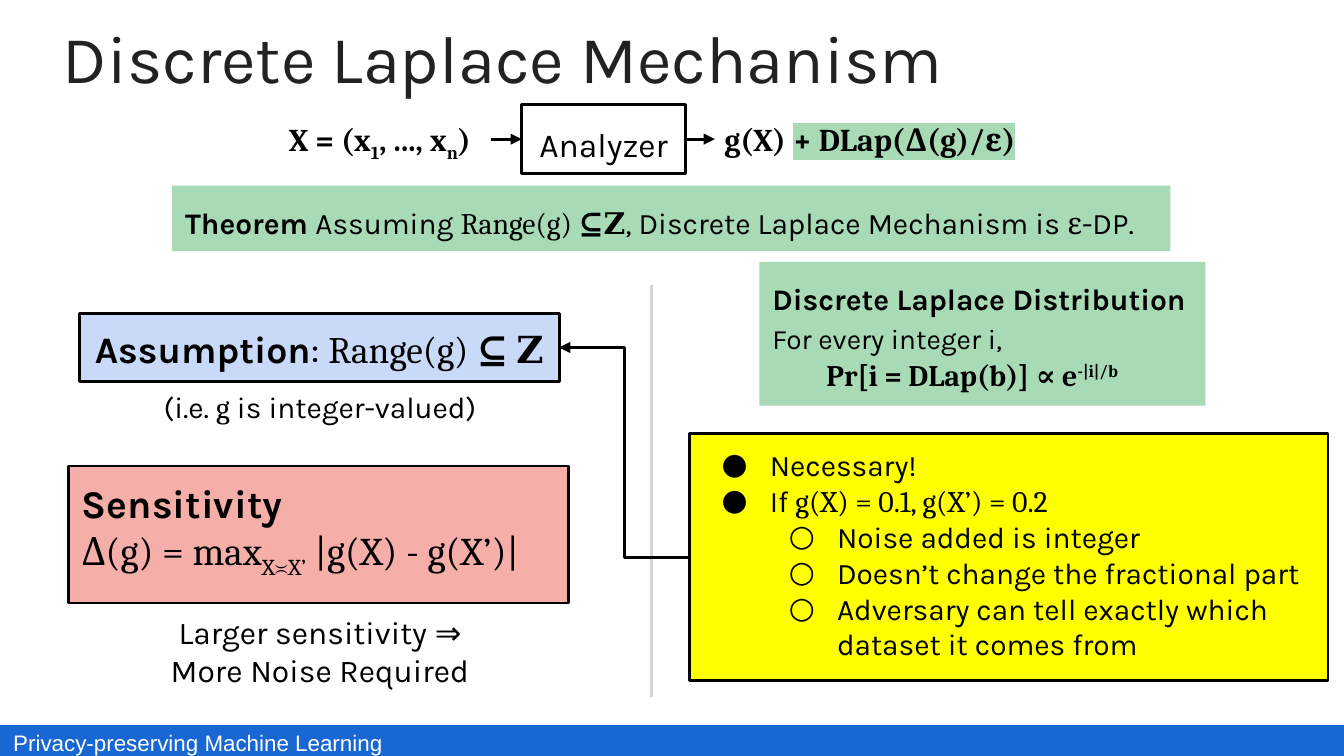
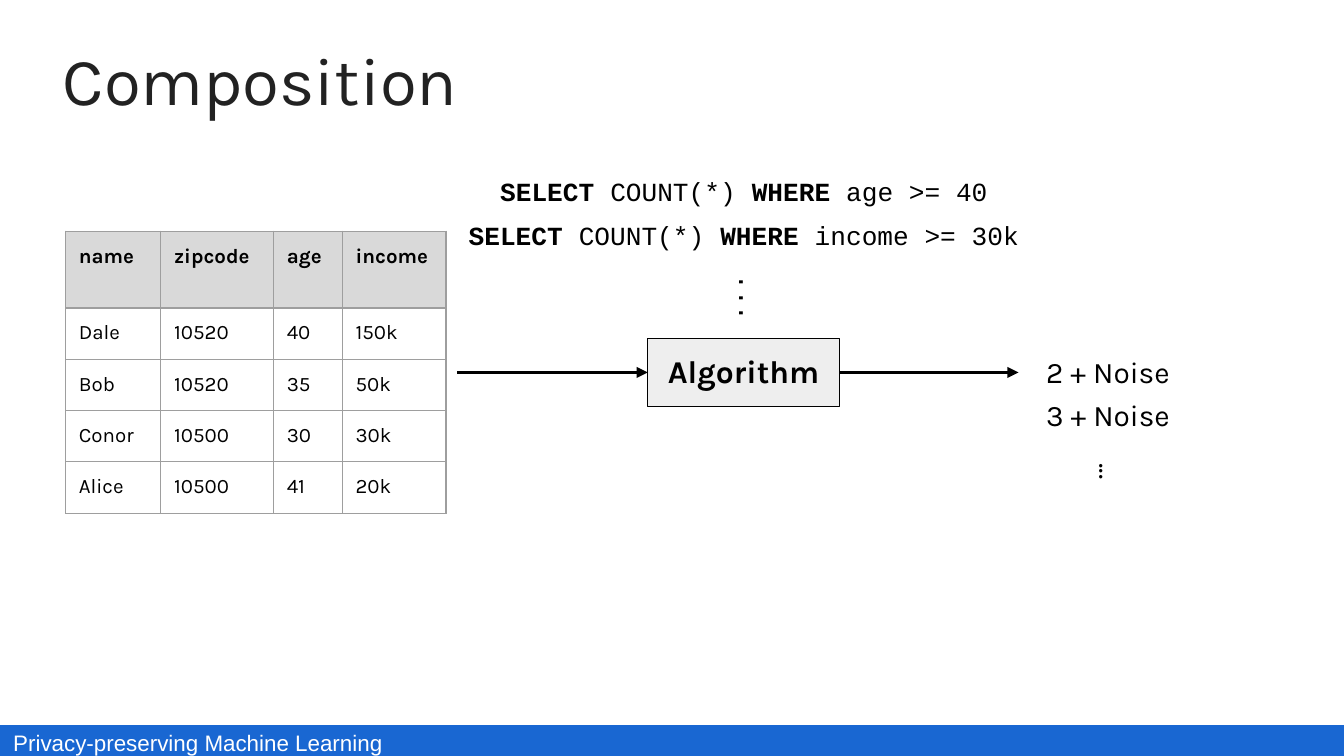
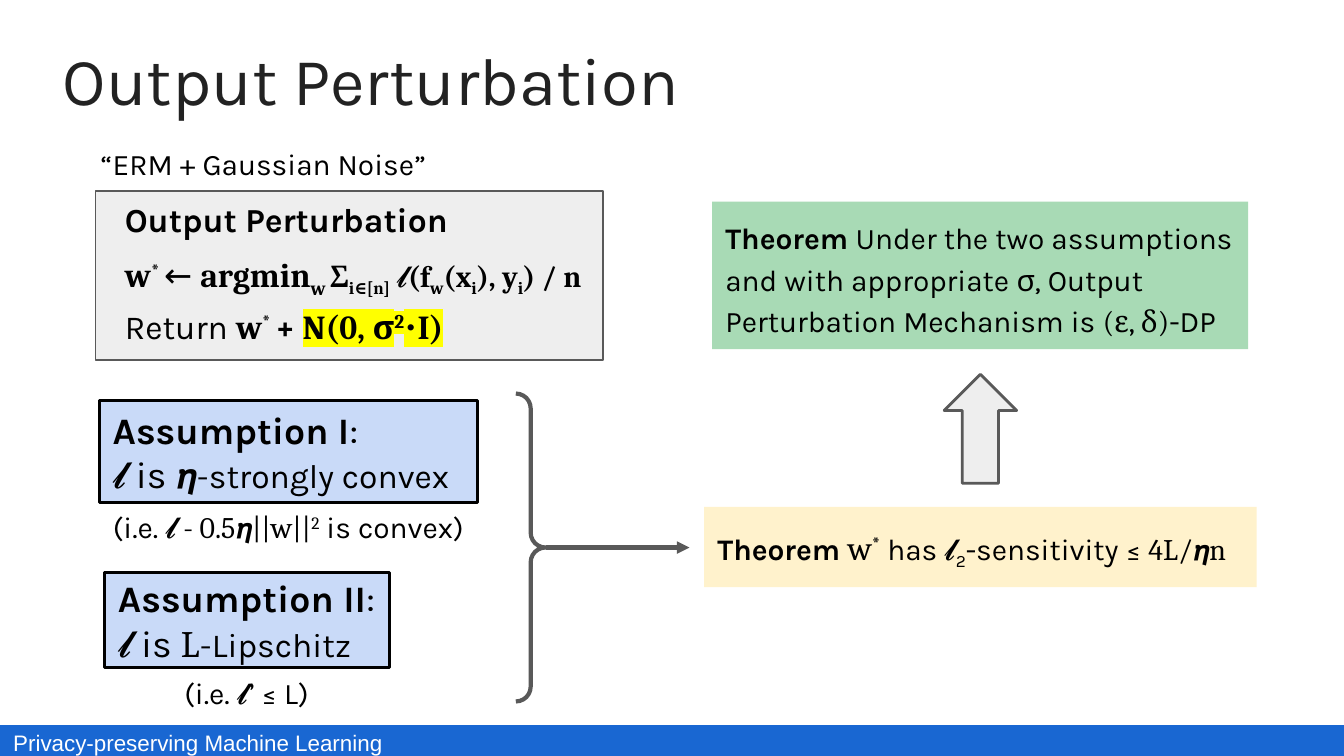
from dataclasses import dataclass
from functools import partial
from typing import NamedTuple, Optional, Union

from lxml import etree
from pptx import Presentation
from pptx import util as u
from pptx.dml import color
from pptx.enum import shapes, text
from pptx.oxml import ns


@dataclass(frozen=True)
class Theme:
    sans: str = "Karla"
    serif: str = "Cambria"
    mono: str = "Courier New"
    plain: str = "Arial"
    black: str = "000000"
    white: str = "FFFFFF"
    ink: str = "222222"
    band: str = "1967D2"
    green: str = "A8DAB5"
    blue: str = "C9DAF8"
    red: str = "F6AEA9"
    yellow: str = "FFFF00"
    cream: str = "FFF2CC"
    pale: str = "EEEEEE"
    header: str = "D9D9D9"
    rule: str = "D5D5D5"
    grid: str = "9E9E9E"
    gray: str = "595959"
    title: int = 36
    head: int = 21
    large: int = 20
    lead: int = 18
    body: int = 17
    base: int = 16
    small: int = 15
    code: int = 14
    foot: int = 12
    cell: int = 11
    thin: float = 0.75
    line: float = 1.5
    thick: float = 2.25
    inset: float = 0.25
    loose: float = 1.15


T = Theme()
Kind = shapes.MSO_SHAPE
Wire = shapes.MSO_CONNECTOR
LEFT, MID = text.PP_ALIGN.LEFT, text.PP_ALIGN.CENTER
TOP, HALF = text.MSO_ANCHOR.TOP, text.MSO_ANCHOR.MIDDLE
SUB, SUPER = -25, 30


class Run(NamedTuple):
    words: str
    face: str = T.sans
    bold: bool = False
    shift: int = 0
    size: int = 0
    tint: str = T.black
    mark: str = ""


class Para(NamedTuple):
    runs: list[Run]
    size: int = T.base
    align: text.PP_ALIGN = LEFT
    space: float = 1.0
    bullet: str = ""
    level: int = 0


class Box(NamedTuple):
    left: float
    top: float
    wide: float
    high: float
    paras: list[Para] = []
    fill: str = ""
    edge: str = ""
    weight: float = T.line
    anchor: text.MSO_ANCHOR = TOP
    turn: int = 0
    kind: Kind = Kind.RECTANGLE
    bend: tuple = ()
    name: str = ""


class Spot(NamedTuple):
    x: float
    y: float


class Joint(NamedTuple):
    name: str
    side: int


class Link(NamedTuple):
    start: Union[Spot, Joint]
    end: Union[Spot, Joint]
    tint: str = T.black
    weight: float = T.line
    arrow: bool = True
    kind: Wire = Wire.STRAIGHT


class Grid(NamedTuple):
    left: float
    top: float
    cols: list[float]
    rows: list[float]
    cells: list[list[str]]


bold = partial(Run, bold=True)
math = partial(Run, face=T.serif)
strong = partial(math, bold=True)


def rgb(tint: str) -> color.RGBColor:
    return color.RGBColor.from_string(tint)


def apply(target, **values) -> None:
    for key, value in values.items():
        setattr(target, key, value)


def paint(fill, tint: str) -> None:
    if tint:
        fill.solid()
        fill.fore_color.rgb = rgb(tint)
    else:
        fill.background()


def add(parent, tag: str, **values: str):
    return etree.SubElement(parent, ns.qn(tag), values)


def add_tint(parent, tag: str, tint: str):
    node = add(parent, tag)
    add(node, "a:srgbClr", val=tint)
    return node


def write_run(para, run: Run, size: int) -> None:
    part = para.add_run()
    part.text = run.words
    apply(part.font, name=run.face, bold=run.bold, size=u.Pt(run.size or size))
    part.font.color.rgb = rgb(run.tint)
    props = part.font._element
    if run.shift:
        props.set("baseline", str(run.shift * 1000))
    for tag in ("a:ea", "a:cs"):
        add(props, tag, typeface=run.face)
    if run.mark:
        props.find(ns.qn("a:latin")).addprevious(add_tint(props, "a:highlight", run.mark))


def write_para(para, item: Para) -> None:
    apply(para, alignment=item.align, line_spacing=item.space, level=item.level)
    if item.bullet:
        props = para._p.get_or_add_pPr()
        props.set("marL", str(u.Cm(1.27 * (item.level + 1))))
        props.set("indent", str(u.Cm(-0.91)))
        add_tint(props, "a:buClr", T.black)
        add(props, "a:buFont", typeface=T.sans)
        add(props, "a:buChar", char=item.bullet)
    for run in item.runs:
        write_run(para, run, item.size)


def write(frame, paras: list[Para], anchor: text.MSO_ANCHOR) -> None:
    inset = u.Cm(T.inset)
    apply(frame, word_wrap=True, vertical_anchor=anchor, margin_left=inset,
          margin_right=inset, margin_top=inset, margin_bottom=inset)
    for i, item in enumerate(paras):
        write_para(frame.add_paragraph() if i else frame.paragraphs[0], item)


def draw_box(slide, box: Box):
    area = [u.Cm(n) for n in box[:4]]
    if box.fill or box.edge:
        shape = slide.shapes.add_shape(box.kind, *area)
        shape.shadow.inherit = False
        paint(shape.fill, box.fill)
        paint(shape.line.fill, box.edge)
        if box.edge:
            shape.line.width = u.Pt(box.weight)
        for i, value in enumerate(box.bend):
            shape.adjustments[i] = value
    else:
        shape = slide.shapes.add_textbox(*area)
    shape.rotation = box.turn
    if box.paras:
        write(shape.text_frame, box.paras, box.anchor)
    return shape


def draw_link(slide, link: Link, named: dict) -> None:
    ends = [e if isinstance(e, Spot) else Spot(0, 0) for e in (link.start, link.end)]
    wire = slide.shapes.add_connector(link.kind, *(u.Cm(n) for e in ends for n in e))
    for end, join in ((link.start, wire.begin_connect), (link.end, wire.end_connect)):
        if isinstance(end, Joint):
            join(named[end.name], end.side)
    wire.line.color.rgb = rgb(link.tint)
    wire.line.width = u.Pt(link.weight)
    props = wire._element.spPr
    if link.arrow:
        add(props.find(ns.qn("a:ln")), "a:tailEnd", type="triangle")
    add(props, "a:effectLst")


def draw_grid(slide, grid: Grid) -> None:
    area = (grid.left, grid.top, sum(grid.cols), sum(grid.rows))
    table = slide.shapes.add_table(len(grid.rows), len(grid.cols), *map(u.Cm, area)).table
    apply(table, first_row=False, horz_banding=False)
    for col, wide in zip(table.columns, grid.cols):
        col.width = u.Cm(wide)
    for r, (row, high) in enumerate(zip(table.rows, grid.rows)):
        row.height = u.Cm(high)
        for cell, words in zip(row.cells, grid.cells[r]):
            inset = u.Cm(T.inset)
            apply(cell, margin_left=inset, margin_right=inset, margin_top=inset,
                  margin_bottom=inset)
            write_para(cell.text_frame.paragraphs[0], Para([Run(words, bold=r == 0)], T.cell))
            props = cell._tc.get_or_add_tcPr()
            for side in "LRTB":
                edge = add(props, f"a:ln{side}", w=str(u.Pt(T.thin)))
                add_tint(edge, "a:solidFill", T.grid)
            paint(cell.fill, "" if r else T.header)


def draw_slide(deck, title: str, top: float, items: list) -> None:
    slide = deck.slides.add_slide(deck.slide_layouts[6])
    foot = Run("Privacy-preserving Machine Learning", T.plain, tint=T.white)
    frame = [
        Box(0, 13.72, 25.4, 0.57, [Para([foot], T.foot, space=T.loose)], T.band, T.band,
            T.thin, HALF),
        Box(0.94, top, 23.88, 2.06, [Para([Run(title, tint=T.ink)], T.title)]),
    ]
    named: dict = {}
    for item in frame + items:
        if isinstance(item, Box):
            named[item.name] = draw_box(slide, item)
        elif isinstance(item, Link):
            draw_link(slide, item, named)
        else:
            draw_grid(slide, item)


def label(left: float, top: float, wide: float, high: float, *runs: Run,
          size: int = T.base, align: text.PP_ALIGN = MID,
          anchor: text.MSO_ANCHOR = TOP, turn: int = 0) -> Box:
    return Box(left, top, wide, high, [Para(list(runs), size, align)],
               anchor=anchor, turn=turn)


def panel(left: float, top: float, wide: float, high: float, fill: str, *runs: Run) -> Box:
    return Box(left, top, wide, high, [Para(list(runs), space=T.loose)], fill)


def premise(left: float, top: float, wide: float, high: float, count: str,
            sign: str, trait: str) -> Box:
    paras = [Para([bold(f"Assumption {count}"), Run(":")], T.large),
             Para([Run("𝓵 is "), math(sign), Run(trait, size=T.lead)], T.large)]
    return Box(left, top, wide, high, paras, T.blue, T.black, anchor=HALF)


def query(top: float, test: str) -> Box:
    code = partial(Run, face=T.mono)
    return label(8.28, top, 11.56, 1.27, code("SELECT ", bold=True), code("COUNT(*)"),
                 code(" WHERE ", bold=True), code(test), size=T.code)


def laplace() -> list:
    dot = partial(Para, bullet="●")
    ring = partial(Para, bullet="○", level=1)
    return [
        Box(9.86, 1.98, 3.1, 1.3, [Para([Run("Analyzer")], T.lead, MID, T.loose)],
            edge=T.black, name="analyzer"),
        Link(Joint("analyzer", 3), Spot(13.51, 2.63)),
        label(5.21, 2.01, 4.32, 1.24, strong("X = (x"), strong("1", shift=SUB),
              strong(", ..., x"), strong("n", shift=SUB), strong(")"),
              size=T.body, align=LEFT),
        Link(Spot(9.27, 2.63), Joint("analyzer", 1)),
        Link(Spot(12.32, 13.18), Spot(12.32, 5.38), T.rule, arrow=False),
        Box(14.35, 4.95, 8.43, 2.72, [
            Para([bold("Discrete Laplace Distribution")], space=T.loose),
            Para([Run("For every integer i,")], T.small, space=T.loose)], T.green),
        label(15.37, 6.5, 7.65, 1.24, strong("Pr[i = DLap(b)] ∝ e"),
              strong("-|i|/b", shift=SUPER), align=LEFT),
        label(2.67, 11.33, 6.76, 1.3, Run("Larger sensitivity ⇒ More Noise Required"),
              size=T.body),
        Box(1.5, 5.92, 9.07, 1.3, [Para([bold("Assumption"), Run(": "),
                                         math("Range(g) ⊆ 𝐙")], T.large, MID)],
            T.blue, T.black, name="premise"),
        label(2.67, 7.09, 6.76, 1.3, Run("(i.e. "), math("g"), Run(" is integer-valued)")),
        Box(1.3, 8.81, 9.45, 2.59, [
            Para([bold("Sensitivity")], T.head),
            Para([math("Δ(g) = max"), math("X≍X’", shift=SUB), math(" |g(X) - g(X’)|")],
                 T.head)], T.red, T.black),
        label(13.44, 1.98, 7.77, 1.3, strong("g(X) "),
              strong("+ DLap(Δ(g)/ε)", mark=T.green), size=T.body, align=LEFT, anchor=HALF),
        panel(3.25, 3.51, 18.87, 1.24, T.green, bold("Theorem "), Run("Assuming "),
              math("Range(g) ⊆𝐙"), Run(", Discrete Laplace Mechanism is "),
              math("ε"), Run("-DP.")),
        Box(13.03, 8.2, 12.07, 4.67, [
            dot([Run("Necessary!")]),
            dot([Run("If "), math("g(X) = 0.1, g(X’) = 0.2")]),
            ring([Run("Noise added is integer")]),
            ring([Run("Doesn’t change the fractional part")]),
            ring([Run("Adversary can tell exactly which dataset it comes from")])],
            T.yellow, T.black, name="reasons"),
        Link(Joint("reasons", 1), Joint("premise", 3), kind=Wire.ELBOW),
    ]


def compose() -> list:
    people = [["name", "zipcode", "age", "income"],
              ["Dale", "10520", "40", "150k"],
              ["Bob", "10520", "35", "50k"],
              ["Conor", "10500", "30", "30k"],
              ["Alice", "10500", "41", "20k"]]
    return [
        Box(12.24, 6.4, 3.63, 1.28, [Para([bold("Algorithm")], T.body, MID)],
            T.pale, T.black, T.thin, name="method"),
        Link(Spot(8.64, 7.04), Joint("method", 1)),
        Link(Joint("method", 3), Spot(19.25, 7.04)),
        Grid(1.24, 4.37, [1.8, 2.13, 1.3, 1.96], [1.45] + [0.97] * 4, people),
        query(3.07, "age >= 40"),
        query(3.89, "income >= 30k"),
        label(13.21, 5, 1.73, 1.27, Run("...", T.mono), size=T.code, turn=90),
        *(label(19.25, 5.99 + 0.82 * i, 3.38, 2.06, Run(f"{i + 2} + Noise"), anchor=HALF)
          for i in range(2)),
        label(20.09, 8.28, 1.73, 1.27, Run("..."), turn=90),
    ]


def perturb() -> list:
    term = partial(strong, size=T.base)
    low = partial(term, shift=SUB)
    noise = partial(strong, mark=T.yellow)
    star = strong("* ", shift=SUPER)
    return [
        premise(1.88, 7.57, 7.14, 1.93, "I", "𝞰-", "strongly convex"),
        label(0.84, 9.37, 9.22, 1.85, Run("(i.e. "), math("𝓵 - 0.5𝞰||w||"),
              math("2", shift=SUPER), Run(" is convex)")),
        Box(1.8, 3.61, 9.6, 3.2, fill=T.pale, edge=T.gray, weight=T.thin),
        label(2.11, 3.56, 8.08, 1.17, bold("Output Perturbation"), size=T.lead,
              align=LEFT, anchor=HALF),
        Box(2.11, 4.37, 9.45, 2.46, [
            Para([strong("w"), star, Run("← "), strong("argmin"), strong("w ", shift=SUB),
                  term("Σ"), low("i∈[n]"), term(" 𝓵(f"), low("w"), term("(x"), low("i"),
                  term("), y"), low("i"), term(") / n")], T.lead, space=T.loose),
            Para([Run("Return "), strong("w"), star, strong("+ "), noise("N(0, σ"),
                  noise("2", shift=SUPER), noise("⋅I)")], T.lead, space=T.loose)],
            anchor=HALF),
        label(1.6, 2.51, 6.76, 1.3, Run("“ERM + Gaussian Noise”")),
        premise(1.98, 10.82, 5.38, 1.8, "II", "L-", "Lipschitz"),
        label(2.97, 12.5, 3.38, 1.96, Run("(i.e. "), math("𝓵’ "), Run("≤ L)")),
        Box(9.75, 7.44, 0.56, 5.82, edge=T.gray, weight=T.thick, kind=Kind.RIGHT_BRACE,
            bend=(0.5, 0.5)),
        Link(Spot(10.31, 10.35), Spot(13.03, 10.35), T.gray, T.thick),
        panel(13.31, 9.58, 10.44, 1.52, T.cream, bold("Theorem "), math("w", size=T.lead),
              math("*", shift=SUPER, size=T.lead), Run(" has 𝓵"), Run("2", shift=SUB),
              Run("-sensitivity ≤ "), math("4L/𝞰n")),
        panel(13.46, 3.81, 10.13, 2.79, T.green, bold("Theorem "),
              Run("Under the two assumptions and with appropriate σ, "
                  "Output Perturbation Mechanism is "), math("(ε, δ)"), Run("-DP")),
        Box(17.5, 7.42, 2.06, 1.37, fill=T.pale, edge=T.gray, turn=270,
            kind=Kind.RIGHT_ARROW),
    ]


def main() -> None:
    deck = Presentation()
    apply(deck, slide_width=u.Cm(25.4), slide_height=u.Cm(14.29))
    draw_slide(deck, "Discrete Laplace Mechanism", 0.05, laplace())
    draw_slide(deck, "Composition", 0.48, compose())
    draw_slide(deck, "Output Perturbation", 0.48, perturb())
    deck.save("out.pptx")


if __name__ == "__main__":
    main()
